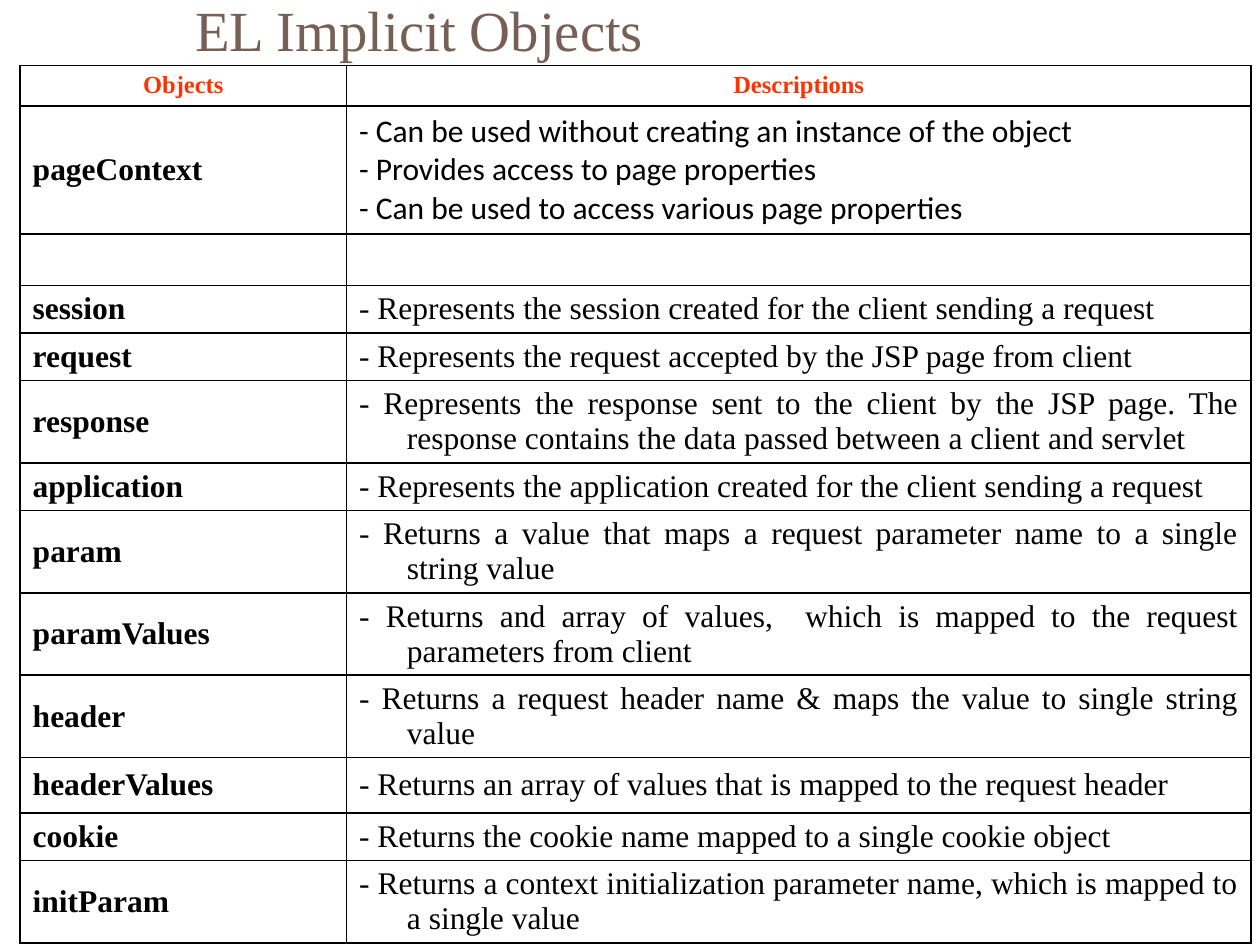
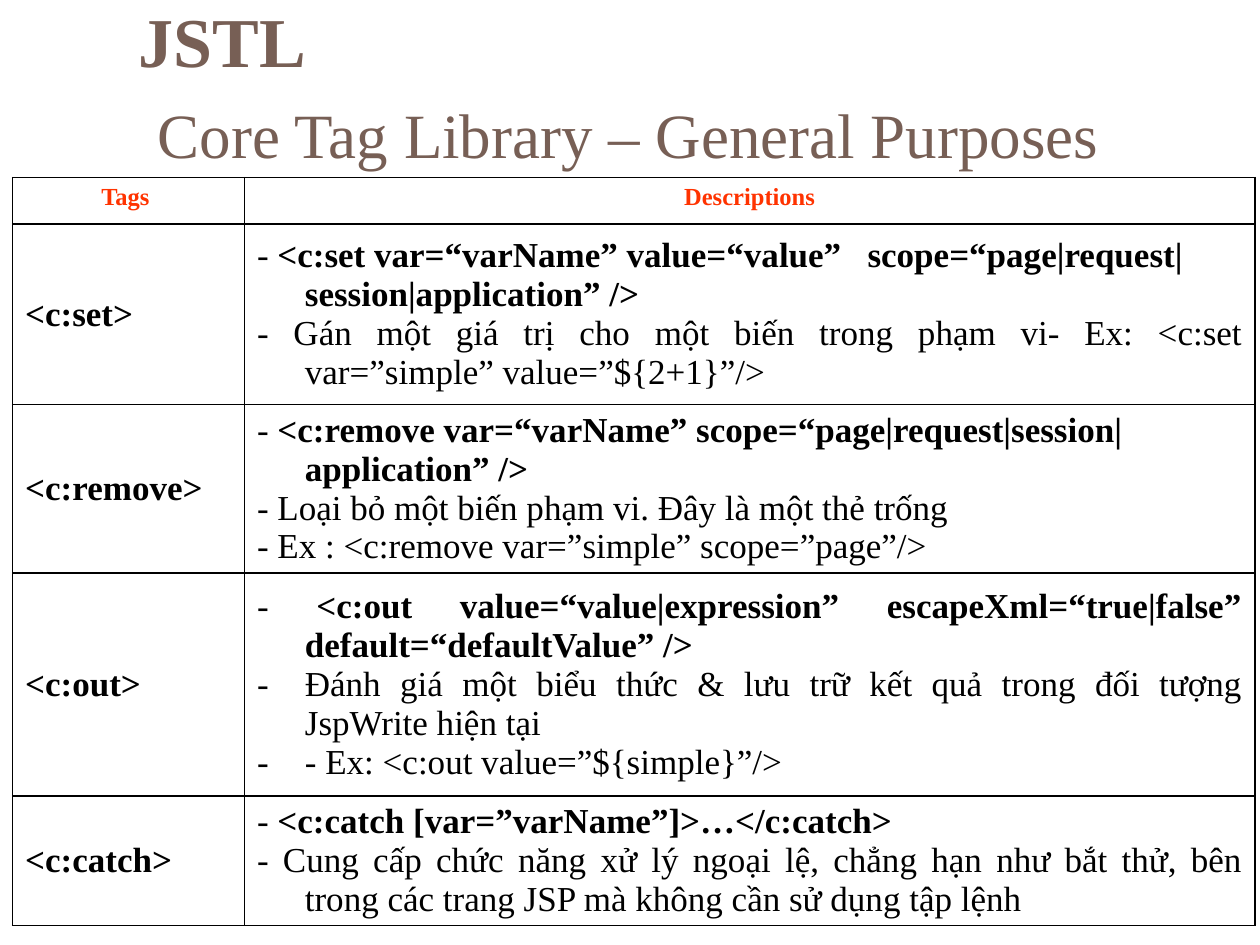
from dataclasses import dataclass

from lxml.etree import SubElement
from pptx import Presentation
from pptx.dml.color import RGBColor
from pptx.enum.text import MSO_ANCHOR, MSO_AUTO_SIZE, PP_ALIGN
from pptx.oxml.ns import qn
from pptx.util import Inches, Pt

COLORS = {"title": "775F55", "heading": "FF3300", "text": "000000", "border": "000000"}
SERIF, SANS = "Times New Roman", "Calibri"
COLS, ROWS = 100, 75
HANGING = Inches(0.38)
ONE_LINE, TWO_LINES = 3.77, 6.53  # row heights in grid rows


@dataclass
class Item:
    """One paragraph of a description: plain text, then code in bold."""
    text: str
    code: str = ""
    font: str = SERIF
    align: PP_ALIGN = PP_ALIGN.JUSTIFY
    bullet: bool = False


@dataclass
class Entry:
    name: str
    items: list
    height: float


def add_text(p, text, size=18, bold=False, color="text", font=SERIF):
    r = p.add_run()
    r.text = text
    r.font.size = Pt(size)
    r.font.bold = bold
    r.font.name = font
    r.font.color.rgb = RGBColor.from_string(COLORS[color])


def hang(p, bullet=False):
    """Give the paragraph a hanging indent and, if asked, a dash bullet."""
    pPr = p._p.get_or_add_pPr()
    pPr.set("marL", str(HANGING))
    pPr.set("indent", str(-HANGING))
    if bullet:
        SubElement(pPr, qn("a:buFont"), typeface=SERIF)
        SubElement(pPr, qn("a:buChar"), char="-")


def set_borders(cell):
    tcPr = cell._tc.get_or_add_tcPr()
    for side in ("a:lnL", "a:lnR", "a:lnT", "a:lnB"):
        ln = SubElement(tcPr, qn(side), w=str(Pt(1)))
        fill = SubElement(ln, qn("a:solidFill"))
        SubElement(fill, qn("a:srgbClr"), val=COLORS["border"])


class Deck:
    def __init__(self):
        self.prs = Presentation()
        self.prs.slide_width, self.prs.slide_height = Inches(10), Inches(7.5)
        self.s = None

    def x(self, cols):
        return round(self.prs.slide_width * cols / COLS)

    def y(self, rows):
        return round(self.prs.slide_height * rows / ROWS)

    def add_slide(self):
        self.s = self.prs.slides.add_slide(self.prs.slide_layouts[5])

    def title(self, col, row, width, height, *lines):
        """Fill the title; each line is a list of (text, format) runs."""
        sp = self.s.shapes.title
        sp.left, sp.top = self.x(col), self.y(row)
        sp.width, sp.height = self.x(width), self.y(height)
        tf = sp.text_frame
        tf.auto_size = MSO_AUTO_SIZE.NONE
        tf.word_wrap = True
        tf.vertical_anchor = MSO_ANCHOR.MIDDLE
        p = tf.paragraphs[0]
        p.alignment = PP_ALIGN.LEFT
        for i, line in enumerate(lines):
            if i:
                p.add_line_break()
            for text, style in line:
                add_text(p, text, color="title", **style)

    def heading_cell(self, cell, text):
        p = cell.text_frame.paragraphs[0]
        p.alignment = PP_ALIGN.CENTER
        hang(p)
        add_text(p, text, size=14, bold=True, color="heading")

    def body_cell(self, cell, items, size):
        cell.vertical_anchor = MSO_ANCHOR.MIDDLE
        tf = cell.text_frame
        for i, item in enumerate(items):
            p = tf.add_paragraph() if i else tf.paragraphs[0]
            p.alignment = item.align
            hang(p, item.bullet)
            if item.text:
                add_text(p, item.text, size, font=item.font)
            if item.code:
                add_text(p, item.code, size, bold=True)

    def table(self, col, row, widths, headings, heading_height, entries, size):
        heights = [heading_height] + [e.height for e in entries]
        frame = self.s.shapes.add_table(
            len(heights), len(widths), self.x(col), self.y(row),
            self.x(sum(widths)), self.y(sum(heights)))
        tbl = frame.table
        tbl.first_row = tbl.horz_banding = False
        for column, width in zip(tbl.columns, widths):
            column.width = self.x(width)
        for table_row, height in zip(tbl.rows, heights):
            table_row.height = self.y(height)
        for cell in tbl.iter_cells():
            set_borders(cell)
            cell.fill.background()
        for i, text in enumerate(headings):
            self.heading_cell(tbl.cell(0, i), text)
        for i, e in enumerate(entries, 1):
            if e.name:
                name = Item("", e.name, align=PP_ALIGN.LEFT)
                self.body_cell(tbl.cell(i, 0), [name], size)
                self.body_cell(tbl.cell(i, 1), e.items, size)


PAGE_CONTEXT = [
    "- Can be used without creating an instance of the object",
    "- Provides access to page properties",
    "- Can be used to access various page properties",
]

OBJECTS = [
    ("session", "- Represents the session created for the client sending a request", ONE_LINE),
    ("request", "- Represents the request accepted by the JSP page from client", ONE_LINE),
    ("response", "- Represents the response sent to the client by the JSP page. "
     "The response contains the data passed between a client and servlet", TWO_LINES),
    ("application", "- Represents the application created for the client sending a request",
     ONE_LINE),
    ("param", "- Returns a value that maps a request parameter name to a single string value",
     TWO_LINES),
    ("paramValues", "- Returns and array of values,  which is mapped to the request "
     "parameters from client", TWO_LINES),
    ("header", "- Returns a request header name & maps the value to single string value",
     TWO_LINES),
    ("headerValues", "- Returns an array of values that is mapped to the request header", 4.4),
    ("cookie", "- Returns the cookie name mapped to a single cookie object", ONE_LINE),
    ("initParam", "- Returns a context initialization parameter name, which is mapped to "
     "a single value", TWO_LINES),
]

TAGS = [
    Entry("<c:set>", [
        Item("- ", "<c:set var=“varName” value=“value”   "
             "scope=“page|request|session|application” />", align=PP_ALIGN.LEFT),
        Item("- Gán một giá trị cho một biến trong phạm vi- Ex: "
             "<c:set var=”simple” value=”${2+1}”/>"),
    ], 14.3),
    Entry("<c:remove>", [
        Item("- ", "<c:remove var=“varName” scope=“page|request|session|application” />",
             align=PP_ALIGN.LEFT),
        Item("- Loại bỏ một biến phạm vi. Đây là một thẻ trống"),
        Item("- Ex : <c:remove var=”simple” scope=”page”/>"),
    ], 13.4),
    Entry("<c:out>", [
        Item("- ", "<c:out value=“value|expression” escapeXml=“true|false” "
             "default=“defaultValue” />"),
        Item("Đánh giá một biểu thức & lưu trữ kết quả trong đối tượng JspWrite hiện tại",
             bullet=True),
        Item("- Ex: <c:out value=”${simple}”/>", bullet=True),
    ], 17.7),
    Entry("<c:catch>", [
        Item("- ", "<c:catch [var=”varName”]>…</c:catch>"),
        Item("- Cung cấp chức năng xử lý ngoại lệ, chẳng hạn như bắt thử, bên trong "
             "các trang JSP mà không cần sử dụng tập lệnh"),
    ], 10.2),
]


def implicit_objects_slide(deck):
    deck.add_slide()
    deck.title(14.5, 0, 85.5, 4.6, [("EL Implicit Objects", {"size": 32.4})])
    entries = [
        Entry("pageContext", [Item(t, font=SANS) for t in PAGE_CONTEXT], 10.1),
        Entry("", [], 4.1),
    ]
    entries += [Entry(name, [Item(text)], height) for name, text, height in OBJECTS]
    deck.table(1.6, 5.2, [25.9, 71.8], ["Objects", "Descriptions"], 3.2, entries, size=18)


def core_tags_slide(deck):
    deck.add_slide()
    deck.title(10, 0, 90, 13.6,
               [("JSTL ", {"size": 40, "bold": True})],
               [(" ", {"size": 44, "bold": True}),
                ("Core Tag Library – General Purposes", {"size": 36})])
    deck.table(1, 14.1, [18.4, 80.2], ["Tags ", "Descriptions"], 3.7, TAGS, size=20)


def main():
    deck = Deck()
    implicit_objects_slide(deck)
    core_tags_slide(deck)
    deck.prs.save("out.pptx")


if __name__ == "__main__":
    main()
